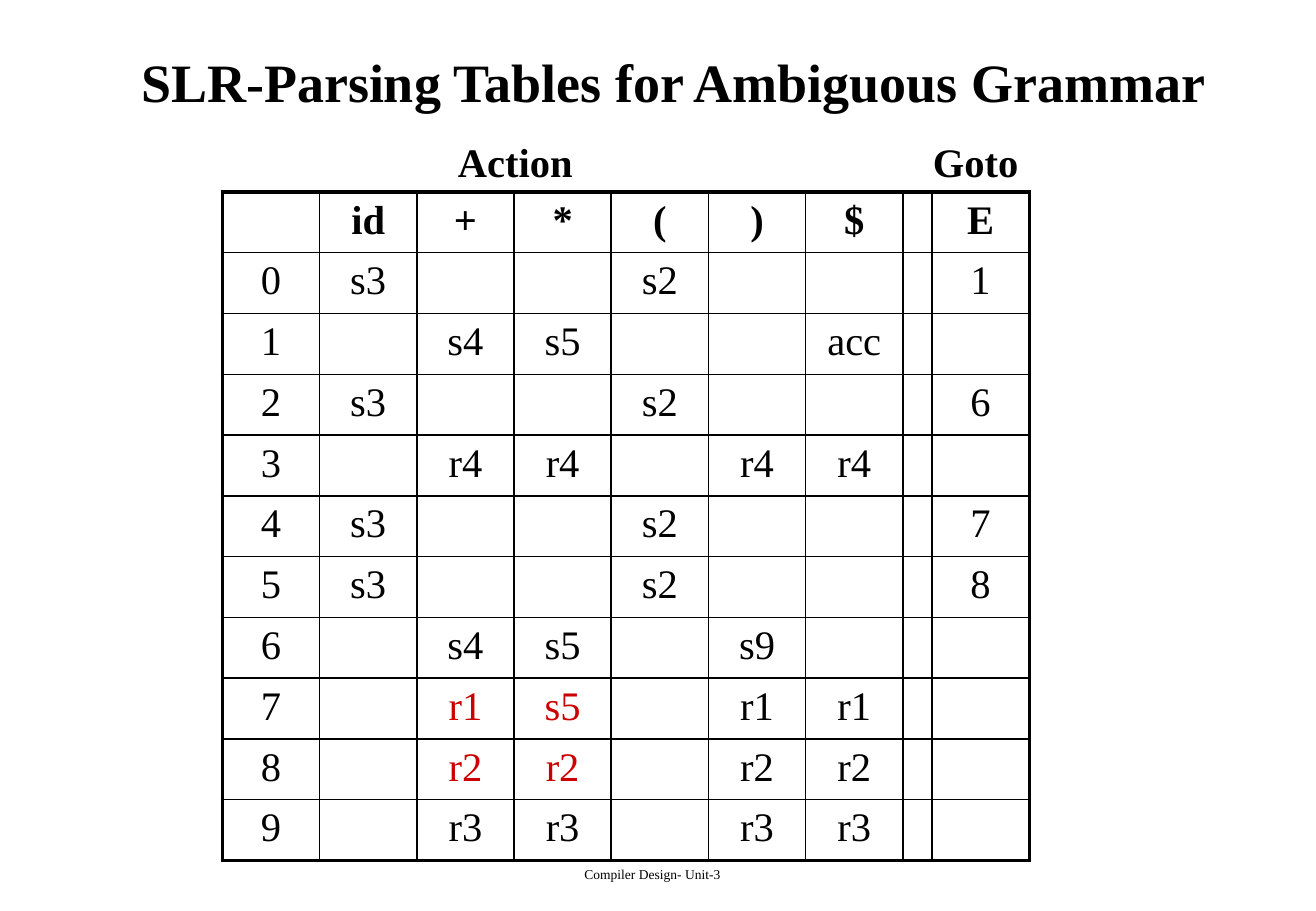
from lxml.etree import SubElement
from pptx import Presentation
from pptx.dml.color import RGBColor
from pptx.enum.text import MSO_ANCHOR, PP_ALIGN
from pptx.oxml.ns import qn
from pptx.util import Inches, Pt

FONT = "Times New Roman"
BLACK, RED = "000000", "CC0000"
THIN, THICK = 1, 2.25
COLUMN, GAP_COLUMN, GOTO_COLUMN, ROW = 0.8, 0.24, 0.8, 0.5

# One string per table row; a dot is an empty cell
PARSING_ROWS = [line.split() for line in (
    ". id + * ( ) $ . E",
    "0 s3 . . s2 . . . 1",
    "1 . s4 s5 . . acc . .",
    "2 s3 . . s2 . . . 6",
    "3 . r4 r4 . r4 r4 . .",
    "4 s3 . . s2 . . . 7",
    "5 s3 . . s2 . . . 8",
    "6 . s4 s5 . s9 . . .",
    "7 . r1 s5 . r1 r1 . .",
    "8 . r2 r2 . r2 r2 . .",
    "9 . r3 r3 . r3 r3 . .",
)]
CONFLICT_CELLS = {(8, 2), (8, 3), (9, 2), (9, 3)}


def color(code):
    return RGBColor.from_string(code)


def write(frame, text, size, bold=False, code=BLACK, align=PP_ALIGN.CENTER):
    frame.text = text
    para = frame.paragraphs[0]
    para.alignment = align
    for span in para.runs:
        span.font.name = FONT
        span.font.size = Pt(size)
        span.font.bold = bold
        span.font.color.rgb = color(code)


def add_label(slide, box, text, size, anchor=MSO_ANCHOR.TOP, **style):
    frame = slide.shapes.add_textbox(*map(Inches, box)).text_frame
    frame.word_wrap = True
    frame.vertical_anchor = anchor
    write(frame, text, size, **style)


def set_borders(cell, widths):
    properties = cell._tc.get_or_add_tcPr()
    for side, width in zip("LRTB", widths):
        line = SubElement(properties, qn(f"a:ln{side}"), w=str(Pt(width)))
        fill = SubElement(line, qn("a:solidFill"))
        SubElement(fill, qn("a:srgbClr"), val=BLACK)


def add_parsing_table(slide, left, top):
    widths = [COLUMN] * 7 + [GAP_COLUMN, GOTO_COLUMN]
    last_row, last_column = len(PARSING_ROWS) - 1, len(widths) - 1
    table = slide.shapes.add_table(
        last_row + 1, last_column + 1, Inches(left), Inches(top),
        Inches(sum(widths)), Inches(ROW * (last_row + 1))).table
    table.first_row = table.horz_banding = False
    for column, width in zip(table.columns, widths):
        column.width = Inches(width)
    for r, entries in enumerate(PARSING_ROWS):
        table.rows[r].height = Inches(ROW)
        for c, entry in enumerate(entries):
            cell = table.cell(r, c)
            # Thick lines only on the outer edge
            outer = (c == 0, c == last_column, r == 0, r == last_row)
            set_borders(cell, [THICK if edge else THIN for edge in outer])
            cell.fill.background()
            if entry != ".":
                write(cell.text_frame, entry, 24, bold=r == 0,
                      code=RED if (r, c) in CONFLICT_CELLS else BLACK)

    # Group headings, one row above the table
    for offset, width, heading in ((1.84, 1.2, "Action"), (5.75, 1, "Goto")):
        add_label(slide, (left + offset, top - ROW, width, ROW), heading, 24,
                  bold=True, align=PP_ALIGN.LEFT)


def main():
    deck = Presentation()
    deck.slide_width, deck.slide_height = Inches(10.83), Inches(7.5)
    slide = deck.slides.add_slide(deck.slide_layouts[6])

    # Title
    add_label(slide, (0.42, 0.17, 10.25, 1),
              "SLR-Parsing Tables for Ambiguous Grammar", 32,
              anchor=MSO_ANCHOR.MIDDLE, bold=True)

    # Action and goto table
    add_parsing_table(slide, 1.83, 1.58)

    # Footer
    add_label(slide, (3.34, 7.08, 4.06, 0.25), "Compiler Design- Unit-3", 8)

    deck.save("out.pptx")


if __name__ == "__main__":
    main()
